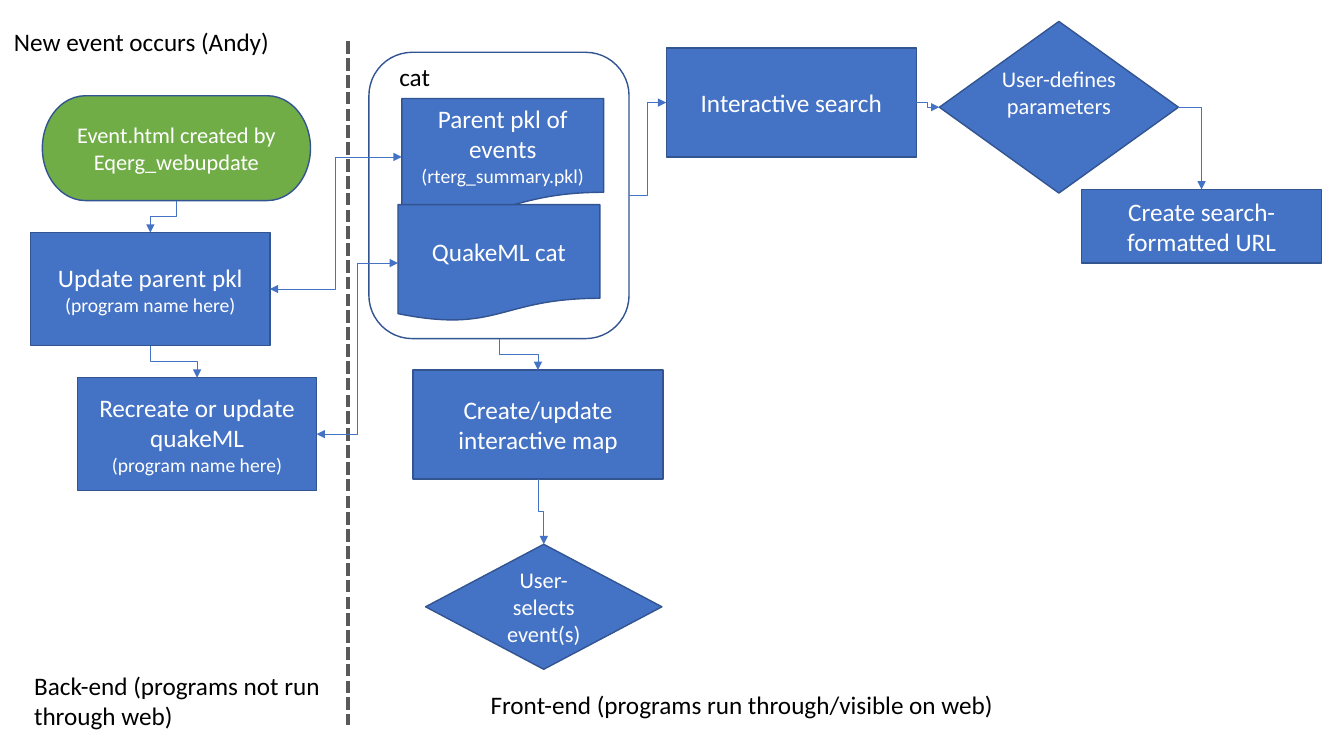
from typing import NamedTuple

from pptx import Presentation
from pptx.dml.color import RGBColor
from pptx.enum.dml import MSO_LINE
from pptx.enum.shapes import MSO_CONNECTOR as CONN, MSO_SHAPE as SHP
from pptx.enum.text import MSO_ANCHOR, MSO_AUTO_SIZE, PP_ALIGN
from pptx.oxml.ns import qn
from pptx.util import Pt
from lxml.etree import SubElement

COLORS = {"blue": "4472C4", "outline": "325491", "green": "70AD47",
          "white": "FFFFFF", "black": "000000", "divider": "595959"}
TOP, LEFT, BOTTOM, RIGHT = range(4)


class Box(NamedTuple):
    key: str
    kind: SHP
    at: tuple[float, float, float, float]
    lines: tuple[tuple[str, int], ...] = ()
    fill: str = "blue"
    insets: tuple[float, float, float, float] = (7.2, 3.6, 7.2, 3.6)


class Label(NamedTuple):
    text: str
    at: tuple[float, float, float, float]
    wrap: bool = True


class Link(NamedTuple):
    start: str
    start_side: int
    end: str
    end_side: int
    both_heads: bool = False


PROGRAM = ("(program name here)", 14)
BOXES = [
    Box("cat", SHP.ROUNDED_RECTANGLE, (263.5, 37.4, 185.8, 204.5), fill="white"),
    Box("event", SHP.FLOWCHART_TERMINATOR, (30.3, 68.4, 191.5, 74.9),
        (("Event.html created by Eqerg_webupdate", 16),), "green"),
    Box("update", SHP.RECTANGLE, (22, 166.2, 170.8, 80.6),
        (("Update parent pkl", 18), PROGRAM)),
    Box("recreate", SHP.RECTANGLE, (55.4, 269.8, 170.8, 80.6),
        (("Recreate or update quakeML", 18), PROGRAM)),
    Box("parent", SHP.FLOWCHART_DOCUMENT, (287, 70.4, 144.2, 83.5),
        (("Parent pkl of events", 18), ("(rterg_summary.pkl)", 14))),
    Box("quake", SHP.FLOWCHART_DOCUMENT, (284.3, 146.2, 144.2, 83.4),
        (("QuakeML cat", 18),)),
    Box("map", SHP.FLOWCHART_PROCESS, (295, 264.3, 178.6, 77.8),
        (("Create/update interactive map", 18),)),
    Box("search", SHP.FLOWCHART_PROCESS, (475.9, 34.4, 178.6, 77.8),
        (("Interactive search", 18),)),
    Box("parameters", SHP.FLOWCHART_DECISION, (671, 15.3, 170.8, 122.6),
        (("User-defines parameters", 16),), insets=(0, 0, 0, 21.6)),
    Box("select", SHP.FLOWCHART_DECISION, (304, 388.8, 168.8, 89.3),
        (("User-selects event(s)", 16),)),
    Box("url", SHP.FLOWCHART_PROCESS, (772.6, 135.4, 171.4, 52.6),
        (("Create search-formatted URL", 18),)),
]
LABELS = [
    Label("New event occurs (Andy)", (2.9, 15.1, 198.7, 29.1), False),
    Label("Back-end (programs not run through web)", (17.3, 475.2, 226.1, 50.9)),
    Label("cat", (278.1, 40.3, 36.7, 29.1), False),
    Label("Front-end (programs run through/visible on web)", (343.3, 488.9, 481.7, 29.1)),
]
LINKS = [
    Link("event", BOTTOM, "update", TOP),
    Link("update", BOTTOM, "recreate", TOP),
    Link("parent", LEFT, "update", RIGHT, True),
    Link("quake", LEFT, "recreate", RIGHT, True),
    Link("cat", RIGHT, "search", LEFT),
    Link("search", RIGHT, "parameters", LEFT),
    Link("cat", BOTTOM, "map", TOP),
    Link("map", BOTTOM, "select", TOP),
    Link("parameters", RIGHT, "url", TOP),
]


def rgb(name: str) -> RGBColor:
    return RGBColor.from_string(COLORS[name])


def write(p, text: str, *, size: float = 18, color: str = "black",
          align=PP_ALIGN.LEFT, font: str = "Calibri") -> None:
    p.alignment = align
    r = p.add_run()
    r.text = text
    r.font.name, r.font.size = font, Pt(size)
    r.font.color.rgb = rgb(color)


def style_line(line, color: str, width: float) -> None:
    line.color.rgb = rgb(color)
    line.width = Pt(width)


def draw_box(shapes, box: Box):
    sp = shapes.add_shape(box.kind, *map(Pt, box.at))
    sp.shadow.inherit = False
    sp.fill.solid()
    sp.fill.fore_color.rgb = rgb(box.fill)
    style_line(sp.line, "outline", 1)
    tf = sp.text_frame
    tf.word_wrap, tf.vertical_anchor = True, MSO_ANCHOR.MIDDLE
    tf.margin_left, tf.margin_top, tf.margin_right, tf.margin_bottom = map(Pt, box.insets)
    for i, (text, size) in enumerate(box.lines):
        p = tf.add_paragraph() if i else tf.paragraphs[0]
        write(p, text, size=size, color="white", align=PP_ALIGN.CENTER)
    return sp


def draw_label(shapes, label: Label) -> None:
    tf = shapes.add_textbox(*map(Pt, label.at)).text_frame
    tf.word_wrap = label.wrap
    tf.auto_size = MSO_AUTO_SIZE.SHAPE_TO_FIT_TEXT
    write(tf.paragraphs[0], label.text)


def turn_vertical(c) -> None:
    """Rotate an elbow so that it leaves and arrives vertically."""
    dx, dy = c.end_x - c.begin_x, c.end_y - c.begin_y
    mid_x, mid_y = (c.begin_x + c.end_x) // 2, (c.begin_y + c.end_y) // 2
    xfrm = c.element.spPr.find(qn("a:xfrm"))
    for flip in ("flipH", "flipV"):
        xfrm.attrib.pop(flip, None)
    c.width, c.height = abs(dy), abs(dx)
    c.left, c.top = mid_x - c.width // 2, mid_y - c.height // 2
    xfrm.set("rot", str((270 if dx > 0 else 90) * 60000))
    if dx > 0:
        xfrm.set("flipH", "1")


def draw_link(shapes, boxes: dict, link: Link) -> None:
    c = shapes.add_connector(CONN.ELBOW, 0, 0, 0, 0)
    c.begin_connect(boxes[link.start], link.start_side)
    c.end_connect(boxes[link.end], link.end_side)
    if link.start_side == BOTTOM:
        turn_vertical(c)
    elif link.end_side == TOP:
        c.element.spPr.find(qn("a:prstGeom")).set("prst", "bentConnector2")
    style_line(c.line, "blue", 0.5)
    ln = c.element.spPr.find(qn("a:ln"))
    for end in ("a:headEnd", "a:tailEnd") if link.both_heads else ("a:tailEnd",):
        SubElement(ln, qn(end), type="triangle")
    SubElement(c.element.spPr, qn("a:effectLst"))


def draw_divider(shapes) -> None:
    c = shapes.add_connector(CONN.STRAIGHT, Pt(248.4), Pt(29.5), Pt(248.4), Pt(518.2))
    style_line(c.line, "divider", 3)
    c.line.dash_style = MSO_LINE.SQUARE_DOT
    SubElement(c.element.spPr, qn("a:effectLst"))


def main() -> None:
    prs = Presentation()
    prs.slide_width, prs.slide_height = Pt(960), Pt(540)
    shapes = prs.slides.add_slide(prs.slide_layouts[6]).shapes
    boxes = {box.key: draw_box(shapes, box) for box in BOXES}
    draw_divider(shapes)
    for label in LABELS:
        draw_label(shapes, label)
    for link in LINKS:
        draw_link(shapes, boxes, link)
    prs.save("out.pptx")


if __name__ == "__main__":
    main()
